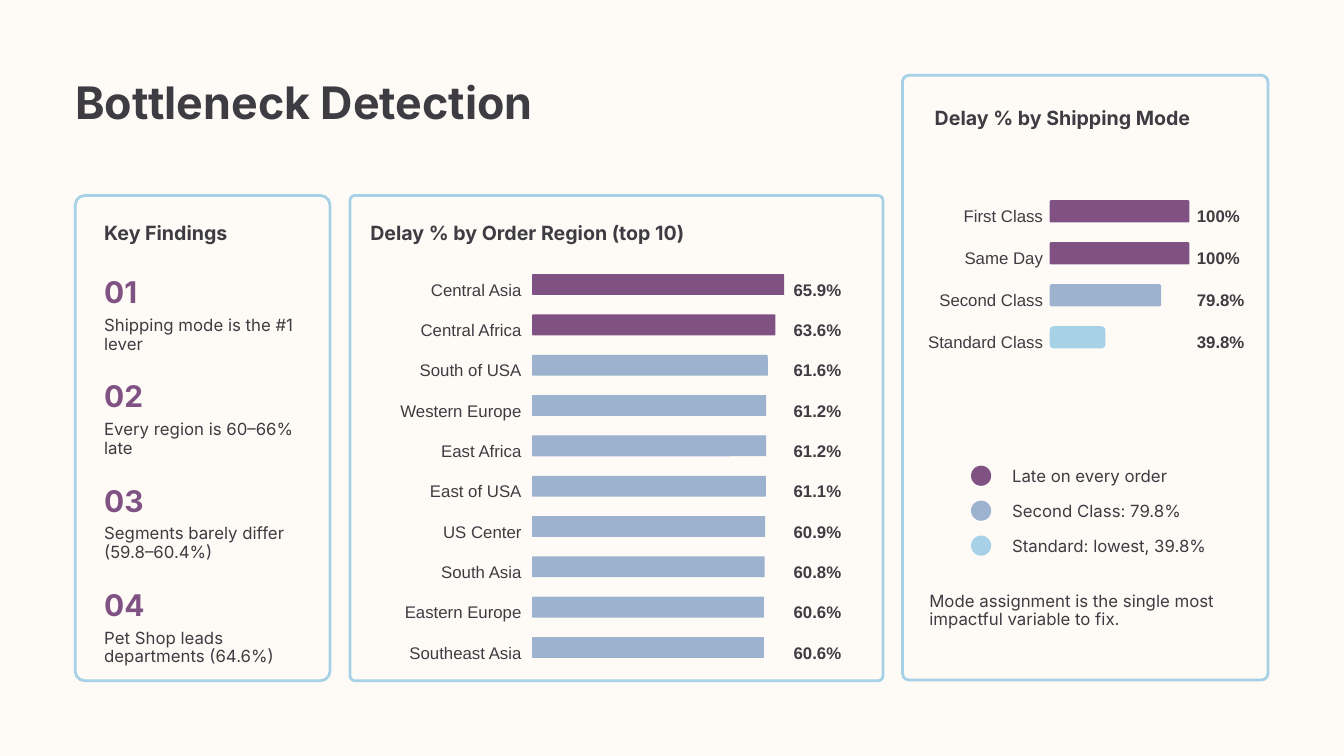
from dataclasses import dataclass

from pptx import Presentation
from pptx.dml.color import RGBColor
from pptx.enum.shapes import MSO_SHAPE as Shape
from pptx.enum.text import MSO_AUTO_SIZE as AutoSize, PP_ALIGN as Align
from pptx.shapes.autoshape import Shape as AutoShape
from pptx.slide import Slide
from pptx.util import Inches, Pt

INK, PURPLE, BLUE, SKY, CREAM = "3D3C42", "7F5283", "9DB2CE", "A6D1E6", "FEFBF6"
FRAME_FORMAT = {"margin_left": 0, "margin_top": 0, "margin_right": 0, "margin_bottom": 0,
                "word_wrap": True, "auto_size": AutoSize.SHAPE_TO_FIT_TEXT}


@dataclass(frozen=True)
class Box:
    left: float
    top: float
    width: float
    height: float


@dataclass(frozen=True)
class TextStyle:
    size: float
    spacing: float
    bold: bool = False
    color: str = INK
    font: str = "Inter"
    align: Align = Align.LEFT


@dataclass(frozen=True)
class Bar:
    label: str
    value: float
    color: str = BLUE
    radius: float = 0.01


@dataclass(frozen=True)
class BarGroup:
    bars: list[Bar]
    labels: Box
    values: Box
    bar_left: float
    bar_top: float
    bar_height: float
    full_width: float
    full_value: float
    pitch: float


TITLE = TextStyle(48, 52.8, True)
HEADING = TextStyle(21, 23.1, True)
NUMBER = TextStyle(32, 35.2, True, PURPLE)
BODY = TextStyle(18, 19.8)

PANELS = [(Box(1.12, 2.91, 3.79, 7.22), 0.14), (Box(5.21, 2.91, 7.93, 7.22), 0.07),
          (Box(13.43, 1.12, 5.44, 9), 0.1)]
HEADINGS = [("Key Findings", Box(1.55, 3.31, 3.37, 0.32)),
            ("Delay % by Order Region (top 10)", Box(5.51, 3.32, 7.29, 0.32)),
            ("Delay % by Shipping Mode", Box(13.91, 1.6, 4.49, 0.32))]
FINDINGS = ["Shipping mode is the #1 lever", "Every region is 60–66% late",
            "Segments barely differ (59.8–60.4%)", "Pet Shop leads departments (64.6%)"]
LEGEND = [("Late on every order", PURPLE), ("Second Class: 79.8%", BLUE),
          ("Standard: lowest, 39.8%", SKY)]
REGIONS = BarGroup(
    [Bar("Central Asia", 65.9, PURPLE), Bar("Central Africa", 63.6, PURPLE),
     Bar("South of USA", 61.6), Bar("Western Europe", 61.2), Bar("East Africa", 61.2),
     Bar("East of USA", 61.1), Bar("US Center", 60.9), Bar("South Asia", 60.8),
     Bar("Eastern Europe", 60.6), Bar("Southeast Asia", 60.6)],
    Box(5.42, 3.86, 2.34, 5.89), Box(11.81, 3.86, 1.04, 5.89),
    7.92, 4.08, 0.31, 3.75, 65.9, 43.2)
MODES = BarGroup(
    [Bar("First Class", 100, PURPLE, 0.02), Bar("Same Day", 100, PURPLE, 0.02),
     Bar("Second Class", 79.8, BLUE, 0.03), Bar("Standard Class", 39.8, SKY, 0.06)],
    Box(13.73, 2.74, 1.79, 2.45), Box(17.81, 2.74, 0.99, 2.45),
    15.62, 2.98, 0.33, 2.08, 100, 45)


def rgb(value: str) -> RGBColor:
    return RGBColor.from_string(value)


def place(box: Box) -> tuple[Inches, ...]:
    return tuple(Inches(length) for length in (box.left, box.top, box.width, box.height))


def add_text(slide: Slide, box: Box, lines: list[str], style: TextStyle) -> None:
    frame = slide.shapes.add_textbox(*place(box)).text_frame
    for name, value in FRAME_FORMAT.items():
        setattr(frame, name, value)
    frame.text = "\n".join(lines)
    font_format = {"size": Pt(style.size), "bold": style.bold, "name": style.font}
    for paragraph in frame.paragraphs:
        paragraph.alignment = style.align
        paragraph.line_spacing = Pt(style.spacing)
        font = paragraph.runs[0].font
        for name, value in font_format.items():
            setattr(font, name, value)
        font.color.rgb = rgb(style.color)


def add_filled(slide: Slide, kind: Shape, box: Box, color: str) -> AutoShape:
    shape = slide.shapes.add_shape(kind, *place(box))
    shape.shadow.inherit = False
    shape.fill.solid()
    shape.fill.fore_color.rgb = rgb(color)
    shape.line.fill.background()
    return shape


def add_rounded(slide: Slide, box: Box, color: str, radius: float) -> AutoShape:
    shape = add_filled(slide, Shape.ROUNDED_RECTANGLE, box, color)
    shape.adjustments[0] = radius / min(box.width, box.height)
    return shape


def add_panel(slide: Slide, box: Box, radius: float) -> None:
    panel = add_rounded(slide, box, CREAM, radius)
    panel.fill.background()
    panel.line.color.rgb = rgb(SKY)
    panel.line.width = Pt(3)


def add_bars(slide: Slide, group: BarGroup) -> None:
    label_style = TextStyle(18, group.pitch, font="Arial", align=Align.RIGHT)
    value_style = TextStyle(18, group.pitch, True, font="Arial")
    add_text(slide, group.labels, [bar.label for bar in group.bars], label_style)
    for row, bar in enumerate(group.bars):
        top = group.bar_top + row * group.pitch / 72
        width = group.full_width * bar.value / group.full_value
        add_rounded(slide, Box(group.bar_left, top, width, group.bar_height),
                    bar.color, bar.radius)
    add_text(slide, group.values, [f"{bar.value}%" for bar in group.bars], value_style)


def main() -> None:
    """Build the bottleneck detection slide and save it."""
    presentation = Presentation()
    presentation.slide_width, presentation.slide_height = Inches(20), Inches(11.25)
    slide = presentation.slides.add_slide(presentation.slide_layouts[6])
    slide.background.fill.solid()
    slide.background.fill.fore_color.rgb = rgb(CREAM)

    for box, radius in PANELS:
        add_panel(slide, box, radius)
    add_text(slide, Box(1.12, 1.18, 12.31, 0.74), ["Bottleneck Detection"], TITLE)
    for heading, box in HEADINGS:
        add_text(slide, box, [heading], HEADING)
    for row, finding in enumerate(FINDINGS):
        top = 4.12 + row * 1.55
        add_text(slide, Box(1.55, top, 1.47, 0.49), [f"{row + 1:02}"], NUMBER)
        add_text(slide, Box(1.55, top + 0.59, 3.12, 0.55), [finding], BODY)
    add_bars(slide, REGIONS)
    add_bars(slide, MODES)
    for row, (label, color) in enumerate(LEGEND):
        top = 6.93 + row * 0.52
        add_filled(slide, Shape.OVAL, Box(14.45, top, 0.3, 0.3), color)
        add_text(slide, Box(15.06, top + 0.02, 3.49, 0.28), [label], BODY)
    add_text(slide, Box(13.83, 8.81, 4.64, 0.55),
             ["Mode assignment is the single most impactful variable to fix."], BODY)
    presentation.save("out.pptx")


if __name__ == "__main__":
    main()
